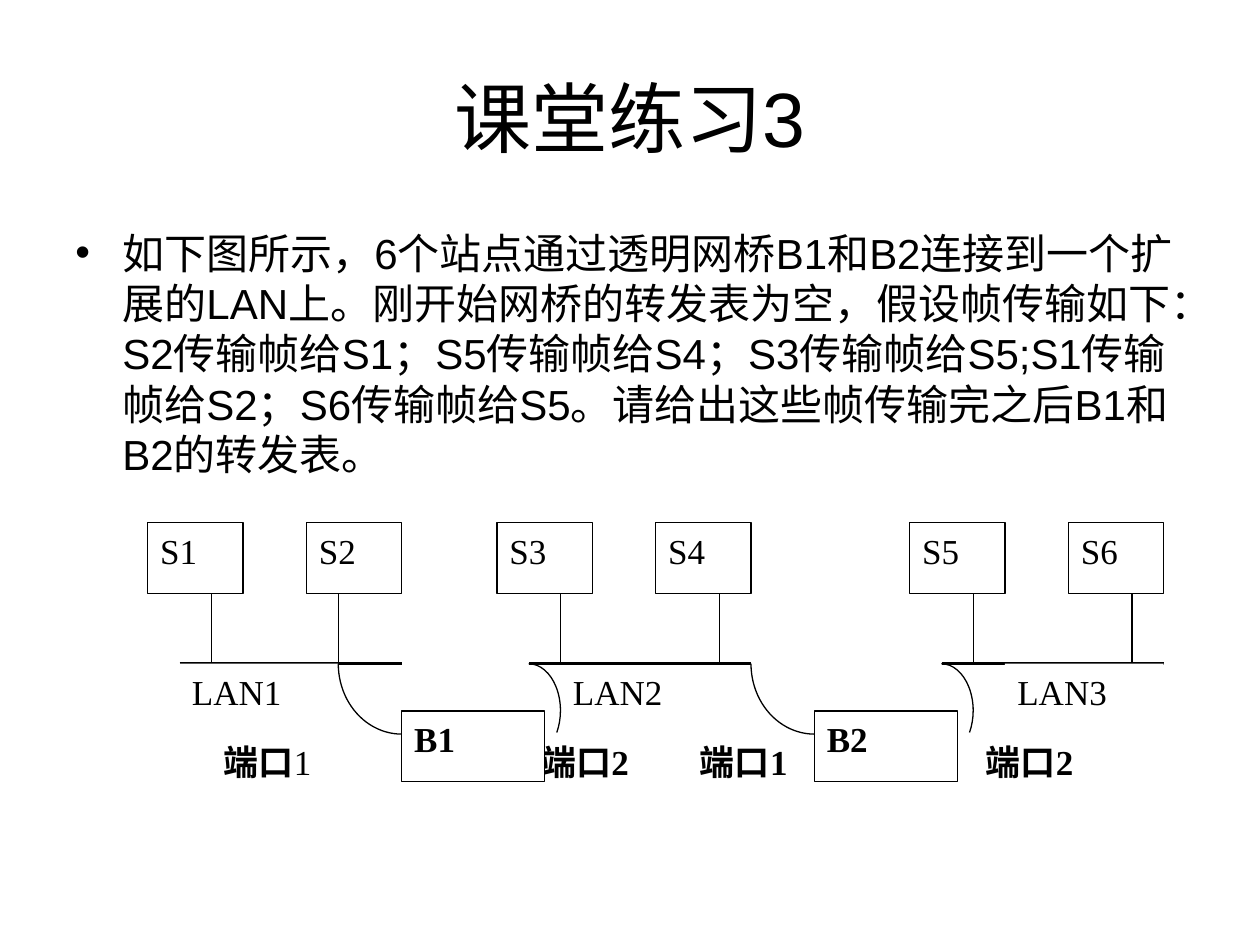
from lxml.etree import SubElement
from pptx import Presentation
from pptx.dml.color import RGBColor
from pptx.enum.shapes import MSO_CONNECTOR, MSO_SHAPE
from pptx.enum.text import MSO_ANCHOR, PP_ALIGN
from pptx.oxml.ns import qn
from pptx.util import Cm, Pt

BODY = ("如下图所示，6个站点通过透明网桥B1和B2连接到一个扩展的LAN上。"
        "刚开始网桥的转发表为空，假设帧传输如下：S2传输帧给S1；S5传输帧给S4；"
        "S3传输帧给S5;S1传输帧给S2；S6传输帧给S5。"
        "请给出这些帧传输完之后B1和B2的转发表。")


def color(code):
    return RGBColor.from_string(code)


def apply(target, values):
    for name, value in values.items():
        setattr(target, name, value)


class Sketch:
    """Holds the style and slide; the diagram sits on a grid of columns and rows."""
    left, top = 2.98, 10.54
    col, row = 0.64, 1.42
    ink, paper = "000000", "FFFFFF"
    frame = {"word_wrap": True,
             "margin_left": Cm(0.25), "margin_right": Cm(0.25),
             "margin_top": Cm(0.13), "margin_bottom": Cm(0.13)}
    head = {"name": "Arial", "size": Pt(44)}
    prose = {"name": "Arial", "size": Pt(24)}
    label = {"name": "Times New Roman", "size": Pt(20)}

    def __init__(self, slide):
        self.slide = slide

    def spot(self, x, y):
        return Cm(self.left + x * self.col), Cm(self.top + y * self.row)

    def size(self, wide, high):
        return Cm(wide * self.col), Cm(high * self.row)

    def letter(self, shape, runs, font, align, anchor=MSO_ANCHOR.TOP):
        """Fill the shape with one paragraph of (text, bold) runs."""
        apply(shape.text_frame, {**self.frame, "vertical_anchor": anchor})
        para = shape.text_frame.paragraphs[0]
        para.alignment = align
        for text, bold in runs:
            run = para.add_run()
            run.text = text
            apply(run.font, {**font, "bold": bold})
            run.font.color.rgb = color(self.ink)
        return para

    def title(self, text):
        box = self.slide.shapes.add_textbox(Cm(1.27), Cm(0.76), Cm(22.86), Cm(3.18))
        self.letter(box, [(text, False)], self.head, PP_ALIGN.CENTER, MSO_ANCHOR.MIDDLE)

    def bullet(self, text):
        box = self.slide.shapes.add_textbox(Cm(1.27), Cm(4.45), Cm(22.86), Cm(12.57))
        para = self.letter(box, [(text, False)], self.prose, PP_ALIGN.LEFT)
        para.space_before = Pt(6)
        props = para._p.get_or_add_pPr()
        props.set("marL", str(Cm(0.95)))
        props.set("indent", str(-Cm(0.95)))
        SubElement(props, qn("a:buFont"), typeface="Arial")
        SubElement(props, qn("a:buChar"), char="•")

    def stroke(self, item, width):
        item.line.color.rgb = color(self.ink)
        item.line.width = Pt(width)

    def box(self, x, y, wide, runs, edge=False):
        shape = self.slide.shapes.add_shape(
            MSO_SHAPE.RECTANGLE, *self.spot(x, y), *self.size(wide, 1))
        shape.shadow.inherit = False
        shape.fill.solid()
        shape.fill.fore_color.rgb = color(self.paper)
        if edge:
            self.stroke(shape, 0.75)
        else:
            shape.line.fill.background()
        self.letter(shape, runs, self.label, PP_ALIGN.JUSTIFY)

    def line(self, start, end, width):
        link = self.slide.shapes.add_connector(
            MSO_CONNECTOR.STRAIGHT, *self.spot(*start), *self.spot(*end))
        self.stroke(link, width)
        SubElement(link._element.spPr, qn("a:effectLst"))

    def arc(self, x, y, wide, high, start, end):
        """Draw part of an oval between two clockwise angles in degrees."""
        shape = self.slide.shapes.add_shape(
            MSO_SHAPE.ARC, *self.spot(x, y), *self.size(wide, high))
        shape.shadow.inherit = False
        shape.fill.background()
        self.stroke(shape, 0.75)
        for i, angle in enumerate((start, end)):
            shape.adjustments[i] = angle * 0.6


def main():
    deck = Presentation()
    deck.slide_width, deck.slide_height = Cm(25.4), Cm(19.05)
    art = Sketch(deck.slides.add_slide(deck.slide_layouts[6]))
    art.title("课堂练习3")
    art.bullet(BODY)

    art.box(12, 3, 6, [("端口2", True)])
    art.box(13, 2, 5, [("LAN2", False)])
    art.box(17, 3, 5, [("端口1", True)])

    hosts = [(0, 2), (5, 6), (11, 13), (16, 18), (24, 26), (29, 31)]
    for i, (x, drop) in enumerate(hosts, 1):
        art.box(x, 0, 3, [(f"S{i}", False)], edge=True)
        art.line((drop, 1), (drop, 2), 0.75)
    for x in (1, 12, 25):
        art.line((x, 2), (x + 7, 2), 2)

    for i, x in enumerate((8, 21), 1):
        art.box(x, 2.67, 4.5, [(f"B{i}", True)], edge=True)
    art.box(2, 3, 5, [("端口", True), ("1", False)])
    art.box(26, 3, 5, [("端口2", True)])
    art.box(1, 2, 5, [("LAN1", False)])
    art.box(27, 2, 5, [("LAN3", False)])

    for x in (11, 24):
        art.arc(x, 2, 2, 1.33, 270, 38)
    for x in (6, 19):
        art.arc(x, 1, 4, 2, 90, 180)
    deck.save("out.pptx")


if __name__ == "__main__":
    main()
